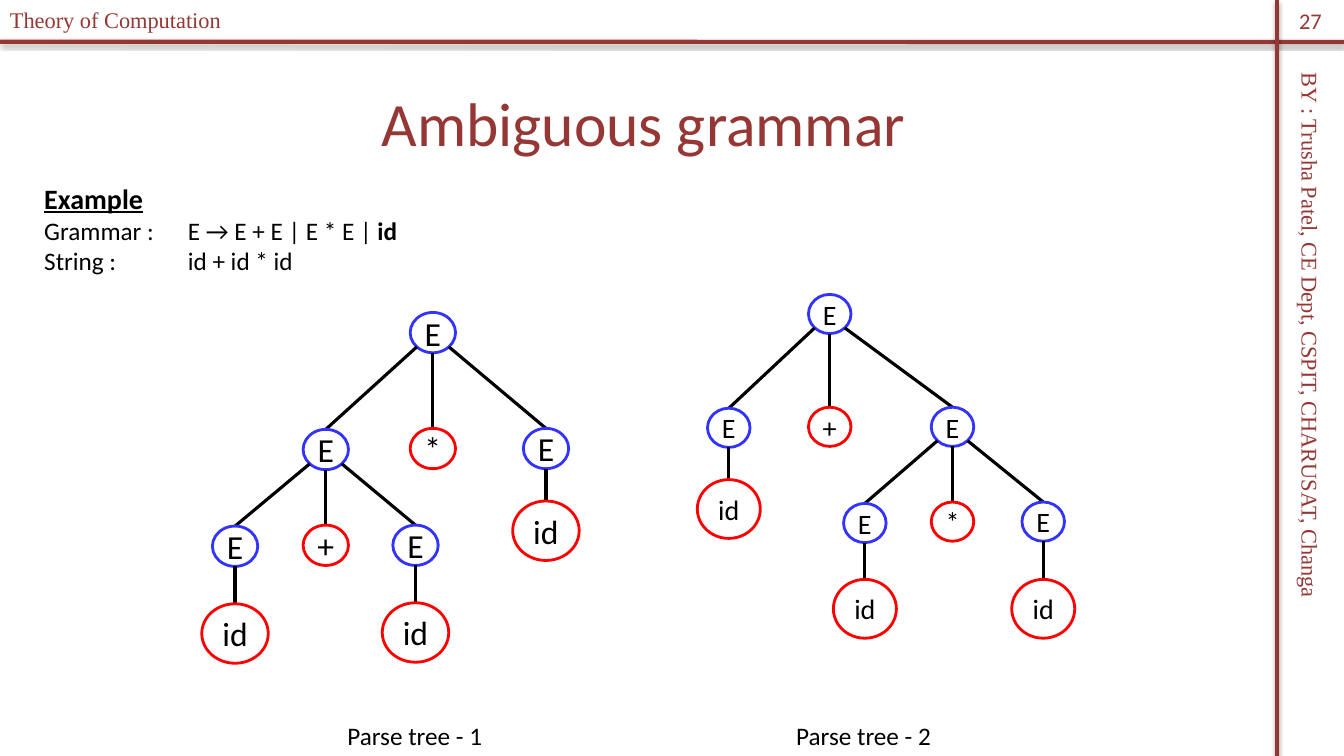
from lxml import etree
from pptx import Presentation
from pptx.dml.color import RGBColor
from pptx.enum.shapes import MSO_CONNECTOR as Connector, MSO_SHAPE as Shape
from pptx.enum.text import MSO_ANCHOR as Anchor, PP_ALIGN as Align
from pptx.oxml.ns import qn
from pptx.util import Pt

MAROON, BLACK, WHITE = "953735", "000000", "FFFFFF"
BLUE, RED = "3333FF", "FF0000"
SANS, SERIF = "Calibri", "Times New Roman"


def color(hex_code):
    return RGBColor.from_string(hex_code)


class SlideBuilder:
    def __init__(self, page):
        self.page = page

    def style(self, para, size, ink=BLACK, face=SANS, align=Align.LEFT):
        para.alignment = align
        para.font.size, para.font.name = Pt(size), face
        para.font.color.rgb = color(ink)

    def title(self, text, left, top, width, height):
        box = self.page.shapes.title
        box.left, box.top, box.width, box.height = map(Pt, (left, top, width, height))
        box.text_frame.text = text
        box.text_frame.vertical_anchor = Anchor.MIDDLE
        self.style(box.text_frame.paragraphs[0], 44, MAROON, align=Align.CENTER)

    def text(self, text, left, top, width, height, size, **look):
        box = self.page.shapes.add_textbox(*map(Pt, (left, top, width, height)))
        box.text_frame.word_wrap = True
        box.text_frame.text = text
        self.style(box.text_frame.paragraphs[0], size, **look)
        return box

    def definition(self, box, term, spans, tab):
        """Add a term and, after a tab stop, its (text, bold) spans."""
        para = box.text_frame.add_paragraph()
        stops = etree.SubElement(para._p.get_or_add_pPr(), qn("a:tabLst"))
        etree.SubElement(stops, qn("a:tab"), pos=str(Pt(tab)), algn="l")
        self.style(para, 18)
        for text, bold in [(term + "\t", False)] + spans:
            span = para.add_run()
            span.text, span.font.bold = text, bold

    def line(self, start, end, ink=BLACK, weight=2.25, shadow=False):
        line = self.page.shapes.add_connector(
            Connector.STRAIGHT, *map(Pt, (*start, *end)))
        line.line.color.rgb, line.line.width = color(ink), Pt(weight)
        effects = etree.SubElement(line._element.spPr, qn("a:effectLst"))
        if shadow:
            outer = etree.SubElement(
                effects, qn("a:outerShdw"), blurRad=str(Pt(3.1)),
                dist=str(Pt(1.8)), dir="5400000", rotWithShape="0")
            tint = etree.SubElement(outer, qn("a:srgbClr"), val=BLACK)
            etree.SubElement(tint, qn("a:alpha"), val="35000")

    def node(self, label, x, y, width, height, size):
        oval = self.page.shapes.add_shape(Shape.OVAL, *map(
            Pt, (x - width / 2, y - height / 2, width, height)))
        oval.shadow.inherit = False
        oval.fill.solid()
        oval.fill.fore_color.rgb = color(WHITE)
        oval.line.color.rgb = color(BLUE if label == "E" else RED)
        oval.line.width = Pt(2)
        frame = oval.text_frame
        frame.margin_left = frame.margin_right = 0
        frame.margin_top = frame.margin_bottom = 0
        frame.word_wrap, frame.vertical_anchor = False, Anchor.MIDDLE
        frame.text = label
        self.style(frame.paragraphs[0], size, align=Align.CENTER)

    def tree(self, branch, symbol_size, id_size, font_size):
        """Draw a (label, x, y, *children) branch, centred on x and y."""
        label, x, y, *children = branch
        width, height = id_size if label == "id" else symbol_size
        self.node(label, x, y, width, height, font_size)
        for child in children:
            child_label, child_x, child_y = child[:3]
            child_height = (id_size if child_label == "id" else symbol_size)[1]
            side = (child_x > x) - (child_x < x)
            drop = 0.71 if side else 1
            self.line((x + side * 0.71 * width / 2, y + drop * height / 2),
                      (child_x, child_y - child_height / 2))
            self.tree(child, symbol_size, id_size, font_size)


PRODUCT_TREE = (
    "E", 309.2, 237.6,
    ("E", 232.7, 321.1,
     ("E", 167.9, 390.2, ("id", 167.9, 452.5)),
     ("+", 232.7, 389.5),
     ("E", 296.8, 389.5, ("id", 296.8, 451.8))),
    ("*", 309.2, 320.4),
    ("E", 390, 320.4, ("id", 390, 379.1)))

SUM_TREE = (
    "E", 592.7, 224.3,
    ("E", 520.6, 305.6, ("id", 520.6, 363.6)),
    ("+", 592.7, 304.9),
    ("E", 680.4, 304.9,
     ("E", 617.8, 373.6, ("id", 617.8, 434.9)),
     ("*", 680.4, 372.6),
     ("E", 745.2, 372.6, ("id", 745.2, 434.9))))


def main():
    deck = Presentation()
    deck.slide_width, deck.slide_height = Pt(960), Pt(540)
    slide = SlideBuilder(deck.slides.add_slide(deck.slide_layouts[5]))

    slide.line((0, 29.8), (960, 30), MAROON, 3, shadow=True)
    slide.line((912, 0), (912, 540), MAROON, 3, shadow=True)
    author = slide.text("BY : Trusha Patel, CE Dept, CSPIT, CHARUSAT, Changa",
                        707, 260.6, 458, 26.6, 16, ink=MAROON, face=SERIF)
    author.rotation = 90
    slide.text("Theory of Computation", 0, 0.7, 237, 26.6, 16,
               ink=MAROON, face=SERIF)
    slide.title("Ambiguous grammar", 15.8, 41.8, 888, 90)
    number = slide.text("27", 912, 0, 48, 28.8, 16, ink=MAROON,
                        align=Align.CENTER)
    number.text_frame.vertical_anchor = Anchor.MIDDLE

    example = slide.text("Example", 15.8, 126, 328, 75, 20)
    example.text_frame.margin_left = Pt(15.8)
    heading = example.text_frame.paragraphs[0]
    heading.font.bold = heading.font.underline = True
    slide.definition(example, "Grammar :",
                     [("E → E + E | E * E | ", False), ("id", True)], 102.6)
    slide.definition(example, "String :", [("id + id * id", False)], 102.6)

    slide.tree(SUM_TREE, (30.4, 28), (45, 42), 20)
    slide.tree(PRODUCT_TREE, (32.4, 28.8), (47.5, 42.5), 24)
    for index, left in enumerate((241, 561.6), start=1):
        slide.text(f"Parse tree - {index}", left, 511.2, 120, 28.8, 18)

    deck.save("out.pptx")


if __name__ == "__main__":
    main()
